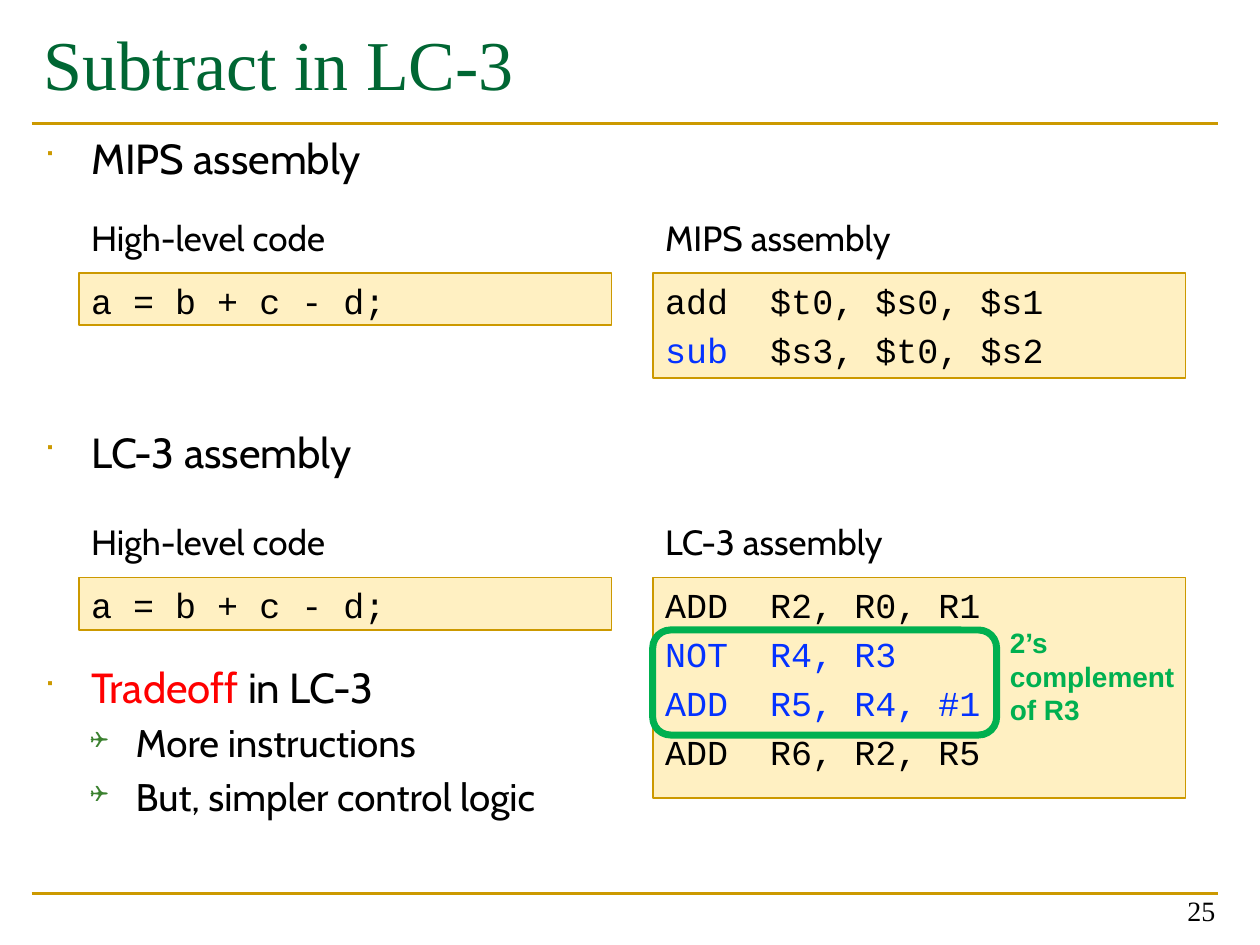
from lxml import etree
from pptx import Presentation
from pptx.dml.color import RGBColor
from pptx.enum.shapes import MSO_CONNECTOR, MSO_SHAPE
from pptx.enum.text import MSO_ANCHOR, PP_ALIGN
from pptx.oxml.ns import qn
from pptx.util import Pt

STRAIGHT = MSO_CONNECTOR.STRAIGHT
RECTANGLE = MSO_SHAPE.RECTANGLE
ROUNDED = MSO_SHAPE.ROUNDED_RECTANGLE
TOP, MIDDLE, BOTTOM = MSO_ANCHOR.TOP, MSO_ANCHOR.MIDDLE, MSO_ANCHOR.BOTTOM
LEFT, RIGHT = PP_ALIGN.LEFT, PP_ALIGN.RIGHT

COLORS = {
    "gold": "CC9900", "cream": "FFF0C2", "title": "006633", "text": "000000",
    "blue": "0432FF", "red": "FF0000", "green": "00B050", "sub_bullet": "3B812F",
}
SERIF, SANS, CODE, NOTE = "Times New Roman", "Cabin", "Courier New", "Arial"
LEFT_COLUMN, RIGHT_COLUMN, COLUMN_WIDTH = 45, 373, 304.5
LABEL_HEIGHT = 36
SPACING = 0.2  # space before a paragraph, as a share of its text size
BODY_PITCH = 33.6  # distance between body lines

# Per level: symbol, colour, size in percent, text size, margin, hanging indent
BULLETS = [
    ("■", "gold", 65, 24, 27, 27),
    ("❑", "sub_bullet", 60, 22, 52.5, 26),
]


def rgb(name):
    return RGBColor.from_string(COLORS[name])


def add_run(paragraph, text, font, size, color="text", bold=False):
    run = paragraph.add_run()
    run.text = text
    run.font.name = font
    run.font.size = Pt(size)
    run.font.bold = bold
    run.font.color.rgb = rgb(color)


def fill_frame(frame, lines, font, size, anchor=TOP, align=LEFT, bold=False):
    """Write lines, each a list of (text, colour) runs."""
    frame.word_wrap = True
    frame.vertical_anchor = anchor
    for index, runs in enumerate(lines):
        paragraph = frame.add_paragraph() if index else frame.paragraphs[0]
        paragraph.alignment = align
        paragraph.space_before = Pt(size * SPACING if index else 0)
        for text, color in runs:
            add_run(paragraph, text, font, size, color, bold)


def add_frame(slide, left, top, width, height):
    box = slide.shapes.add_textbox(Pt(left), Pt(top), Pt(width), Pt(height))
    return box.text_frame


def add_text(slide, box, text, font, size, color="text", **options):
    fill_frame(add_frame(slide, *box), [[(text, color)]], font, size, **options)


def add_rule(slide, y):
    rule = slide.shapes.add_connector(STRAIGHT, Pt(18), Pt(y), Pt(696), Pt(y))
    rule.line.color.rgb = rgb("gold")
    rule.line.width = Pt(1.5)
    etree.SubElement(rule.element.spPr, qn("a:effectLst"))


def add_outlined_shape(slide, kind, box, line_color, line_width):
    shape = slide.shapes.add_shape(kind, *(Pt(length) for length in box))
    shape.shadow.inherit = False
    shape.fill.background()
    shape.line.color.rgb = rgb(line_color)
    shape.line.width = Pt(line_width)
    return shape


def add_code_panel(slide, left, top, height, label, lines):
    """Place a code box with its label directly above it."""
    add_text(slide, (left, top - LABEL_HEIGHT, COLUMN_WIDTH, LABEL_HEIGHT),
             label, SANS, 20)
    panel = add_outlined_shape(
        slide, RECTANGLE, (left, top, COLUMN_WIDTH, height), "gold", 1)
    panel.fill.solid()
    panel.fill.fore_color.rgb = rgb("cream")
    fill_frame(panel.text_frame, lines, CODE, 20)


def set_bullet(paragraph, symbol, color, percent, margin, hanging):
    properties = paragraph._p.get_or_add_pPr()
    properties.set("marL", str(Pt(margin)))
    properties.set("indent", str(-Pt(hanging)))
    bullet_color = etree.SubElement(properties, qn("a:buClr"))
    etree.SubElement(bullet_color, qn("a:srgbClr"), val=COLORS[color])
    etree.SubElement(properties, qn("a:buSzPct"), val=str(percent * 1000))
    etree.SubElement(properties, qn("a:buFont"), typeface="Wingdings")
    etree.SubElement(properties, qn("a:buChar"), char=symbol)


def add_bullets(slide, box, items):
    """Write items of (level, body lines left free above, runs)."""
    frame = add_frame(slide, *box)
    frame.word_wrap = True
    for index, (level, free_lines, runs) in enumerate(items):
        symbol, color, percent, size, margin, hanging = BULLETS[level]
        paragraph = frame.add_paragraph() if index else frame.paragraphs[0]
        paragraph.level = level
        gap = size * SPACING + free_lines * BODY_PITCH
        paragraph.space_before = Pt(gap if index else 0)
        set_bullet(paragraph, symbol, color, percent, margin, hanging)
        for text, text_color in runs:
            add_run(paragraph, text, SANS, size, text_color)


def main():
    presentation = Presentation()
    presentation.slide_width, presentation.slide_height = Pt(720), Pt(540)
    slide = presentation.slides.add_slide(presentation.slide_layouts[6])

    for y in (70.5, 510.5):
        add_rule(slide, y)
    add_text(slide, (18, 0, 678, 72), "Subtract in LC-3", SERIF, 40, "title",
             anchor=MIDDLE)
    add_bullets(slide, (18, 72, 678, 438), [
        (0, 0, [("MIPS assembly", "text")]),
        (0, 4, [("LC-3 assembly", "text")]),
        (0, 3, [("Tradeoff", "red"), (" in LC-3", "text")]),
        (1, 0, [("More instructions", "text")]),
        (1, 0, [("But, simpler control logic", "text")]),
    ])
    add_text(slide, (533.5, 497.5, 168, 36), "25", SERIF, 16,
             anchor=BOTTOM, align=RIGHT)

    assembly_panels = [
        (156, 60, "MIPS assembly", [
            [("add  $t0, $s0, $s1", "text")],
            [("sub", "blue"), ("  $s3, $t0, $s2", "text")],
        ]),
        (330, 126, "LC-3 assembly", [
            [("ADD  R2, R0, R1", "text")],
            [("NOT  R4, R3", "blue")],
            [("ADD  R5, R4, #1", "blue")],
            [("ADD  R6, R2, R5", "text")],
        ]),
    ]
    for top, height, label, lines in assembly_panels:
        add_code_panel(slide, LEFT_COLUMN, top, 30, "High-level code",
                       [[("a = b + c - d;", "text")]])
        add_code_panel(slide, RIGHT_COLUMN, top, height, label, lines)

    highlight = add_outlined_shape(
        slide, ROUNDED, (RIGHT_COLUMN, 360, 196.5, 60), "green", 4)
    highlight.adjustments[0] = 0.17
    add_text(slide, (570, 354, 114, 65.5), "2’s complement of R3", NOTE, 16,
             "green", bold=True)

    presentation.save("out.pptx")


if __name__ == "__main__":
    main()
